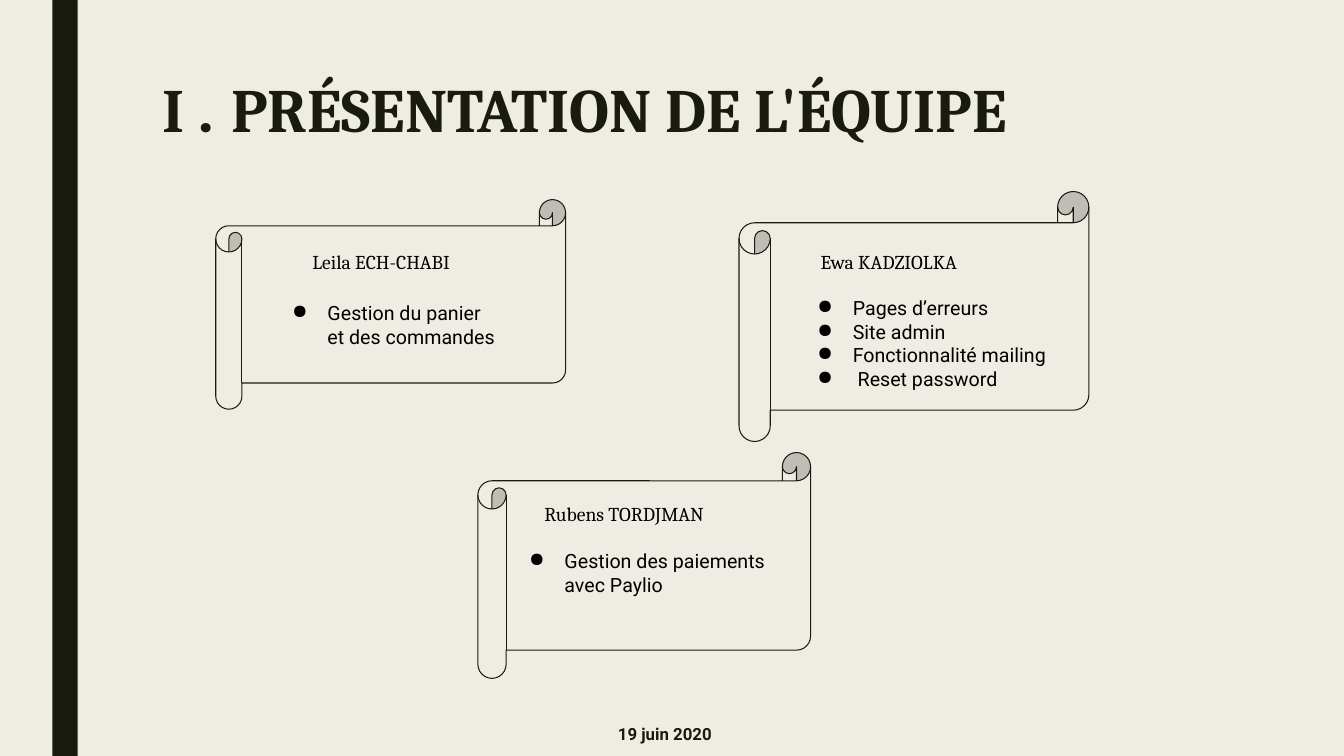
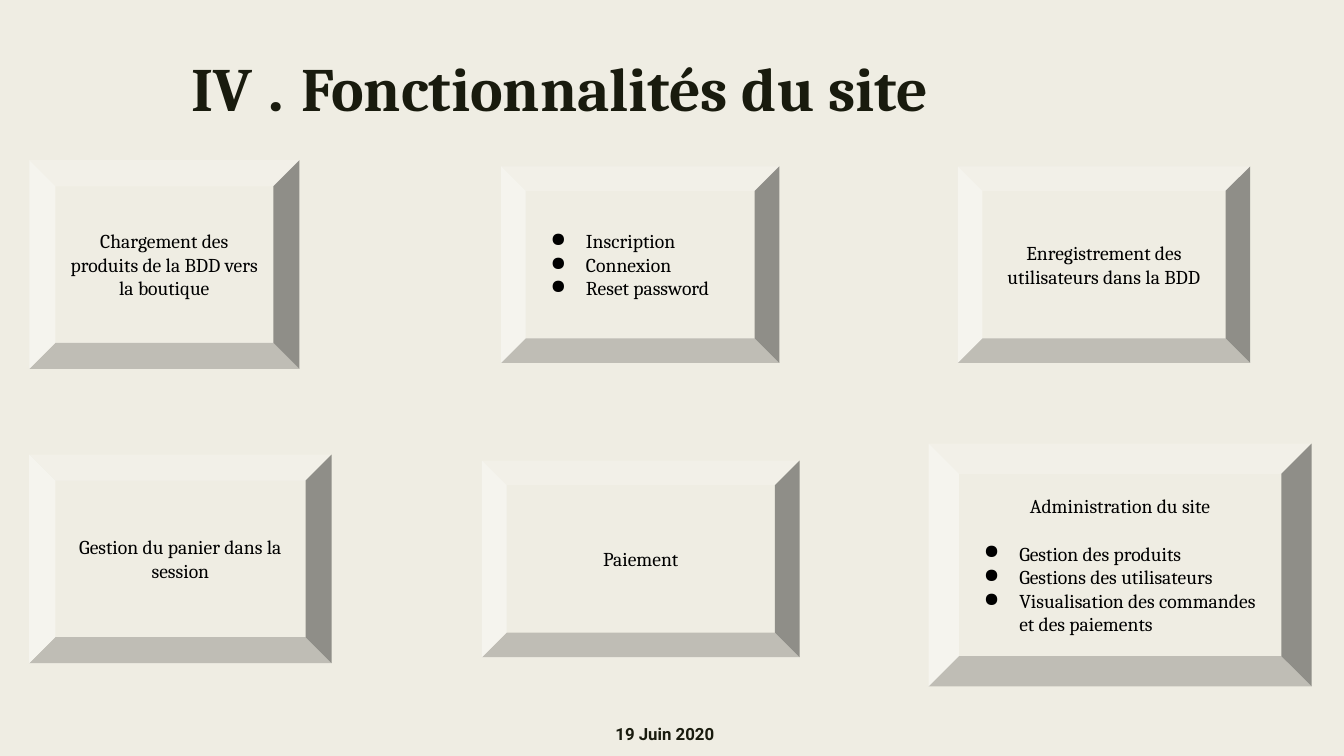
from lxml import etree
from pptx import Presentation
from pptx.dml.color import RGBColor
from pptx.enum.shapes import MSO_SHAPE
from pptx.enum.text import MSO_ANCHOR, MSO_AUTO_SIZE, PP_ALIGN
from pptx.oxml.ns import qn
from pptx.util import Inches, Pt

CREAM = RGBColor(0xEF, 0xED, 0xE3)
DARK = RGBColor(0x19, 0x1B, 0x0E)
BLACK = RGBColor(0, 0, 0)
SERIF = "Cambria"
SANS = "Roboto"
TITLE_ONLY = 5

TEAM = [
    ((2.14, 1.98, 3.47, 2.08),
     (3, 2.38, 2.46, 0.68), "Leila ECH-CHABI",
     (2.65, 2.89, 2.46, 0.74), ["Gestion du panier\vet des commandes"]),
    ((4.74, 4.49, 3.3, 2.24),
     (5.3, 4.88, 2.35, 0.68), "Rubens TORDJMAN",
     (5, 5.35, 2.78, 0.74), ["Gestion des paiements avec Paylio"]),
    ((7.33, 1.9, 3.47, 2.48),
     (8.04, 2.38, 2.16, 0.68), "Ewa KADZIOLKA",
     (7.86, 2.84, 2.97, 0.97),
     ["Pages d’erreurs", "Site admin", "Fonctionnalité mailing", " Reset password"]),
]

FEATURES = [
    ((0.29, 1.59, 2.68, 2.07), "Chargement des produits de la BDD vers la boutique", []),
    ((4.97, 1.65, 2.76, 1.95), "", ["Inscription", "Connexion", "Reset password"]),
    ((9.5, 1.65, 2.9, 1.95), "Enregistrement des utilisateurs dans la BDD", []),
    ((0.29, 4.51, 3, 2.07), "Gestion du panier dans la session", []),
    ((4.78, 4.57, 3.15, 1.95), "Paiement", []),
    ((9.21, 4.4, 3.8, 2.41), "Administration du site",
     ["Gestion des produits", "Gestions des utilisateurs",
      "Visualisation des commandes et des paiements"]),
]


def inches(box):
    """Convert left, top, width and height to lengths."""
    return [Inches(length) for length in box]


def style_font(font, name, size, color, bold=False):
    """Set the look of a font."""
    font.name, font.size, font.bold = name, Pt(size), bold
    font.color.rgb = color


def set_frame(frame, anchor, vertical_inset):
    """Set wrapping, anchor and insets of a text frame."""
    frame.word_wrap = True
    frame.auto_size = MSO_AUTO_SIZE.NONE
    frame.vertical_anchor = anchor
    frame.margin_left = frame.margin_right = Inches(0.1)
    frame.margin_top = frame.margin_bottom = Inches(vertical_inset)


def add_bullet(paragraph):
    """Give a paragraph a round black bullet and a hanging indent."""
    properties = paragraph._p.get_or_add_pPr()
    properties.set("marL", str(Inches(0.5)))
    properties.set("indent", str(Inches(-0.35)))
    color = etree.SubElement(properties, qn("a:buClr"))
    etree.SubElement(color, qn("a:srgbClr"), val=str(BLACK))
    etree.SubElement(properties, qn("a:buChar"), char="●")


def write_content(frame, heading, bullets, font_name, align=PP_ALIGN.LEFT):
    """Write an optional heading followed by a bulleted list."""
    lines = ([heading] if heading else []) + bullets
    for index, line in enumerate(lines):
        paragraph = frame.paragraphs[0] if index == 0 else frame.add_paragraph()
        paragraph.text = line
        if heading and index == 0:
            paragraph.alignment = align
            if bullets:
                paragraph.space_after = Pt(17)
        else:
            paragraph.alignment = PP_ALIGN.LEFT
            add_bullet(paragraph)
        style_font(paragraph.font, font_name, 14, BLACK)


def add_panel(slide, preset, box, fill=CREAM, outlined=False):
    """Add a filled preset shape without shadow."""
    panel = slide.shapes.add_shape(preset, *inches(box))
    panel.shadow.inherit = False
    panel.fill.solid()
    panel.fill.fore_color.rgb = fill
    if outlined:
        panel.line.color.rgb = DARK
        panel.line.width = Pt(0.75)
    else:
        panel.line.fill.background()
    return panel


def add_text(slide, box, heading, bullets, font_name):
    """Add a text box with a heading or a list."""
    frame = slide.shapes.add_textbox(*inches(box)).text_frame
    set_frame(frame, MSO_ANCHOR.TOP, 0.1)
    write_content(frame, heading, bullets, font_name)


def add_slide(prs, title_box, title_runs, date):
    """Add a slide with its title and its date footer."""
    slide = prs.slides.add_slide(prs.slide_layouts[TITLE_ONLY])
    title = slide.shapes.title
    title.left, title.top, title.width, title.height = inches(title_box)
    set_frame(title.text_frame, MSO_ANCHOR.TOP, 0.05)
    paragraph = title.text_frame.paragraphs[0]
    paragraph.alignment = PP_ALIGN.LEFT
    paragraph.line_spacing = 0.89
    style_font(paragraph.font, SERIF, 44, DARK, bold=True)
    for text, font_name in title_runs:
        run = paragraph.add_run()
        run.text = text
        run.font.name = font_name

    footer = slide.shapes.add_textbox(*inches((3.16, 7.06, 6.87, 0.44))).text_frame
    set_frame(footer, MSO_ANCHOR.MIDDLE, 0.05)
    date_line = footer.paragraphs[0]
    date_line.text = date
    date_line.alignment = PP_ALIGN.CENTER
    style_font(date_line.font, SANS, 12, DARK, bold=True)
    return slide


def build_team(prs):
    """Build the slide that presents the team on scrolls."""
    slide = add_slide(
        prs, (1.51, 0.74, 10.5, 1.62),
        [("I ", SERIF), (". ", SANS), ("PRÉSENTATION DE L'ÉQUIPE", SERIF)],
        "19 juin 2020")
    add_panel(slide, MSO_SHAPE.RECTANGLE, (0.52, 0, 0.25, 7.5), fill=DARK)
    for scroll_box, name_box, name, duties_box, duties in TEAM:
        add_panel(slide, MSO_SHAPE.HORIZONTAL_SCROLL, scroll_box, outlined=True)
        add_text(slide, name_box, name, [], SERIF)
        add_text(slide, duties_box, "", duties, SANS)


def build_features(prs):
    """Build the slide that lists the site features on bevels."""
    slide = add_slide(
        prs, (1.8, 0.53, 10.5, 1.62),
        [("IV", SERIF), (" . ", SANS), ("Fonctionnalités du site", SERIF)],
        "19 Juin 2020")
    for box, heading, details in FEATURES:
        frame = add_panel(slide, MSO_SHAPE.BEVEL, box).text_frame
        set_frame(frame, MSO_ANCHOR.MIDDLE, 0.1)
        write_content(frame, heading, details, SERIF, PP_ALIGN.CENTER)


def main():
    """Build and save the presentation."""
    prs = Presentation()
    prs.slide_width, prs.slide_height = Inches(13.33), Inches(7.5)
    background = prs.slide_master.background.fill
    background.solid()
    background.fore_color.rgb = CREAM
    build_team(prs)
    build_features(prs)
    prs.save("out.pptx")


if __name__ == "__main__":
    main()
